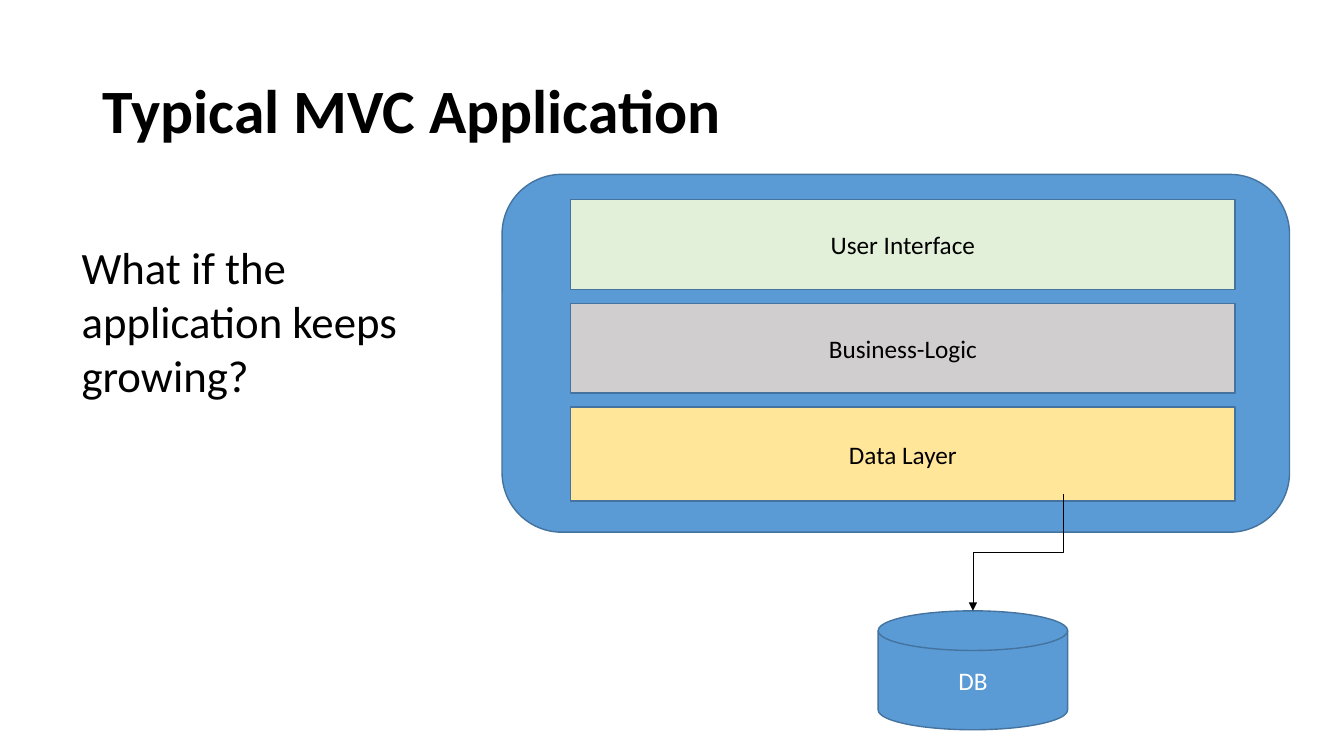
from dataclasses import dataclass

from lxml import etree
from pptx import Presentation
from pptx import util as u
from pptx.dml.color import RGBColor
from pptx.enum import shapes, text
from pptx.oxml import ns


@dataclass(frozen=True)
class Theme:
    font: str = "Calibri"
    black: str = "000000"
    white: str = "FFFFFF"
    blue: str = "5B9BD5"
    outline: str = "43739E"
    green: str = "E2F0D9"
    grey: str = "D0CECE"
    yellow: str = "FFE699"
    title_size: int = 44
    question_size: int = 32
    label_size: int = 18
    outline_width: float = 1
    arrow_width: float = 0.5


@dataclass(frozen=True)
class Area:
    col: float
    row: float
    cols: float
    rows: float


@dataclass(frozen=True)
class Block:
    area: Area
    fill: str
    label: str = ""
    color: str = Theme.black
    kind: shapes.MSO_SHAPE = shapes.MSO_SHAPE.RECTANGLE


THEME = Theme()
WIDTH, HEIGHT = u.Inches(13.33), u.Inches(7.5)
COLUMNS = ROWS = 100

TITLE = Area(6.9, 5.33, 86.27, 19.33)
QUESTION = Area(5.33, 31.07, 25.66, 22.93)
APPLICATION = Area(37.36, 23.07, 58.59, 47.33)
DATABASE = Area(65.34, 80.8, 14.1, 15.73)
LAYER_COL, LAYER_ROW, LAYER_COLS, LAYER_PITCH = 42.46, 26.4, 49.44, 13.73
LAYERS = [
    ("User Interface", THEME.green, 11.87),
    ("Business-Logic", THEME.grey, 11.87),
    ("Data Layer", THEME.yellow, 12.4),
]
ARROW_START = (79.14, 65.33)
ARROW_END = (DATABASE.col + DATABASE.cols / 2, DATABASE.row)


def x(cols: float) -> int:
    return round(WIDTH * cols / COLUMNS)


def y(rows: float) -> int:
    return round(HEIGHT * rows / ROWS)


def box(area: Area) -> tuple[int, int, int, int]:
    return x(area.col), y(area.row), x(area.cols), y(area.rows)


def apply(target, values: dict) -> None:
    for name, value in values.items():
        setattr(target, name, value)


def write(sp, content: str, size: int, color: str, align: text.PP_ALIGN,
          anchor: text.MSO_ANCHOR, bold: bool = False, spacing: float = 1.0) -> None:
    tf = sp.text_frame
    apply(tf, {"word_wrap": True, "vertical_anchor": anchor})
    p = tf.paragraphs[0]
    apply(p, {"alignment": align, "line_spacing": spacing})
    r = p.add_run()
    r.text = content
    apply(r.font, {"name": THEME.font, "size": u.Pt(size), "bold": bold})
    r.font.color.rgb = RGBColor.from_string(color)


def draw_block(s, block: Block) -> None:
    sp = s.shapes.add_shape(block.kind, *box(block.area))
    sp.shadow.inherit = False
    sp.fill.solid()
    sp.fill.fore_color.rgb = RGBColor.from_string(block.fill)
    sp.line.color.rgb = RGBColor.from_string(THEME.outline)
    sp.line.width = u.Pt(THEME.outline_width)
    if block.label:
        write(sp, block.label, THEME.label_size, block.color,
              text.PP_ALIGN.CENTER, text.MSO_ANCHOR.MIDDLE)


def draw_down_elbow(s, start: tuple[float, float], end: tuple[float, float]) -> None:
    x1, y1, x2, y2 = x(start[0]), y(start[1]), x(end[0]), y(end[1])
    mid_x, mid_y = (x1 + x2) // 2, (y1 + y2) // 2
    half_drop, half_shift = (y2 - y1) // 2, (x1 - x2) // 2
    arrow = s.shapes.add_connector(
        shapes.MSO_CONNECTOR.ELBOW,
        mid_x - half_drop, mid_y - half_shift,
        mid_x + half_drop, mid_y + half_shift)
    arrow.line.color.rgb = RGBColor.from_string(THEME.black)
    arrow.line.width = u.Pt(THEME.arrow_width)
    props = arrow._element.spPr
    props.find(ns.qn("a:xfrm")).set("rot", str(90 * 60000))
    etree.SubElement(props.find(ns.qn("a:ln")), ns.qn("a:tailEnd"), type="triangle")
    etree.SubElement(props, ns.qn("a:effectLst"))


def main() -> None:
    prs = Presentation()
    apply(prs, {"slide_width": WIDTH, "slide_height": HEIGHT})
    s = prs.slides.add_slide(prs.slide_layouts.get_by_name("Title Only"))

    title = s.shapes.title
    apply(title, dict(zip(("left", "top", "width", "height"), box(TITLE))))
    write(title, "Typical MVC Application", THEME.title_size, THEME.black,
          text.PP_ALIGN.LEFT, text.MSO_ANCHOR.MIDDLE, bold=True, spacing=0.9)

    blocks = [
        Block(APPLICATION, THEME.blue, kind=shapes.MSO_SHAPE.ROUNDED_RECTANGLE),
        Block(DATABASE, THEME.blue, "DB", THEME.white,
              shapes.MSO_SHAPE.FLOWCHART_MAGNETIC_DISK),
    ]
    for i, (label, fill, rows) in enumerate(LAYERS):
        area = Area(LAYER_COL, LAYER_ROW + i * LAYER_PITCH, LAYER_COLS, rows)
        blocks.append(Block(area, fill, label))
    for block in blocks:
        draw_block(s, block)

    draw_down_elbow(s, ARROW_START, ARROW_END)

    question = s.shapes.add_textbox(*box(QUESTION))
    write(question, "What if the application keeps growing?", THEME.question_size,
          THEME.black, text.PP_ALIGN.LEFT, text.MSO_ANCHOR.TOP)
    question.text_frame.auto_size = text.MSO_AUTO_SIZE.SHAPE_TO_FIT_TEXT

    prs.save("out.pptx")


if __name__ == "__main__":
    main()
